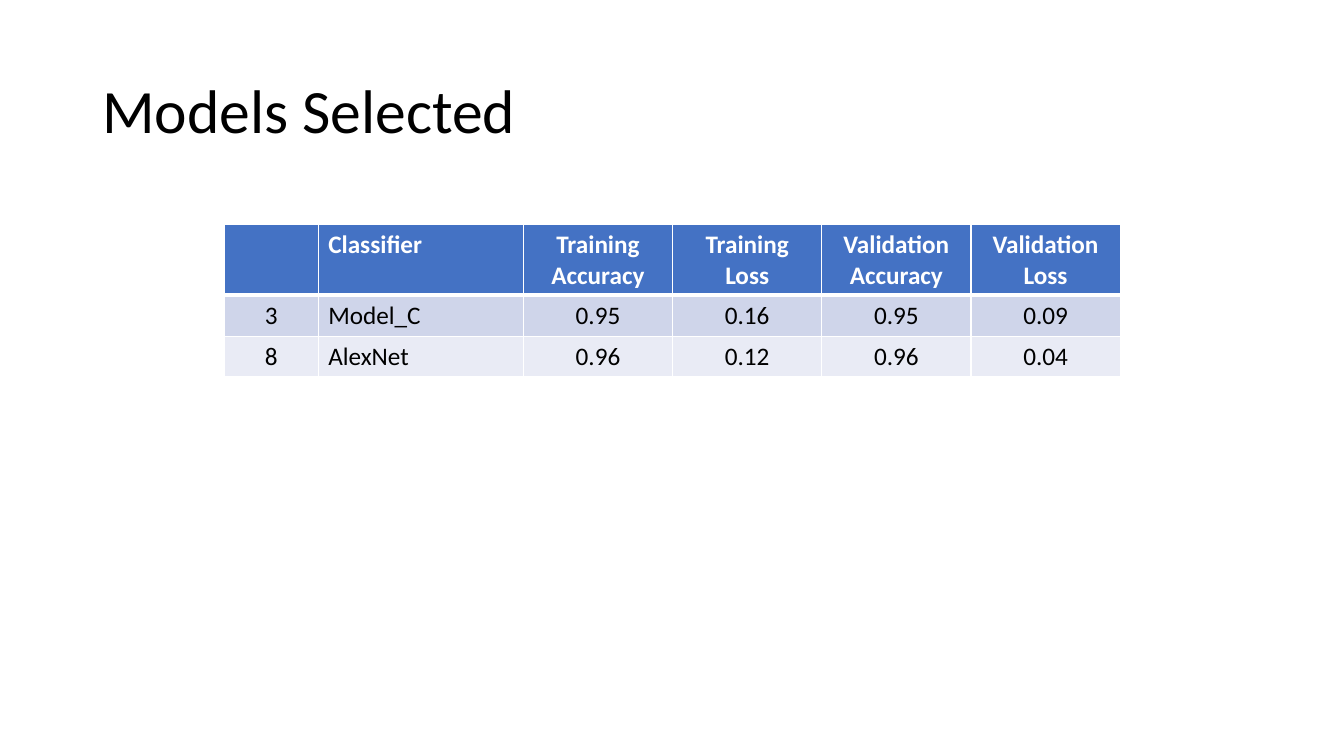
"""Build the slide that compares the two selected models."""
from dataclasses import dataclass

from lxml import etree
from pptx import Presentation
from pptx.dml.color import RGBColor
from pptx.enum.text import MSO_ANCHOR, PP_ALIGN
from pptx.oxml.ns import qn
from pptx.util import Cm, Pt

LEFT, CENTER = PP_ALIGN.LEFT, PP_ALIGN.CENTER
MIDDLE = MSO_ANCHOR.MIDDLE


@dataclass(frozen=True)
class Theme:
    font: str = "Calibri"
    title: int = 44
    body: int = 18
    black: str = "000000"
    white: str = "FFFFFF"
    head: str = "4472C4"
    bands: tuple = ("CFD5EA", "E9EBF5")


theme = Theme()


def style(frame, size, color, align, bold=False):
    for par in frame.paragraphs:
        par.alignment = align
        for run in par.runs:
            run.font.name = theme.font
            run.font.size = Pt(size)
            run.font.bold = bold
            run.font.color.rgb = RGBColor.from_string(color)


def border(cell, side, width):
    props = cell._tc.get_or_add_tcPr()
    line = etree.SubElement(props, qn(f"a:ln{side}"), w=str(Pt(width)))
    fill = etree.SubElement(line, qn("a:solidFill"))
    etree.SubElement(fill, qn("a:srgbClr"), val=theme.white)


deck = Presentation()
deck.slide_width, deck.slide_height = Cm(33.87), Cm(19.05)
slide = deck.slides.add_slide(deck.slide_layouts[6])

title = slide.shapes.add_textbox(Cm(2.33), Cm(1.01), Cm(29.21), Cm(3.68))
frame = title.text_frame
frame.word_wrap = True
frame.vertical_anchor = MIDDLE
frame.text = "Models Selected"
frame.paragraphs[0].line_spacing = 0.9
style(frame, theme.title, theme.black, LEFT)

rows = [
    ("", "Classifier", "Training Accuracy", "Training Loss",
     "Validation Accuracy", "Validation Loss"),
    ("3", "Model_C", "0.95", "0.16", "0.95", "0.09"),
    ("8", "AlexNet", "0.96", "0.12", "0.96", "0.04"),
]
widths = [2.37, 5.17] + [3.76] * 4
heights = [1.78] + [1.03] * 2

table = slide.shapes.add_table(
    len(rows), len(widths), Cm(5.65), Cm(5.66),
    Cm(sum(widths)), Cm(sum(heights))).table
for col, width in zip(table.columns, widths):
    col.width = Cm(width)
for row, height in zip(table.rows, heights):
    row.height = Cm(height)

for i, row in enumerate(rows):
    is_head = i == 0
    back = theme.head if is_head else theme.bands[i - 1]
    color = theme.white if is_head else theme.black
    for j, text in enumerate(row):
        cell = table.cell(i, j)
        cell.text_frame.text = text
        align = LEFT if j == 1 else CENTER
        style(cell.text_frame, theme.body, color, align, is_head)
        top = 3 if i == 1 else 1
        base = 3 if is_head else 1
        for side, width in zip("LRTB", (1, 1, top, base)):
            border(cell, side, width)
        cell.fill.solid()
        cell.fill.fore_color.rgb = RGBColor.from_string(back)

deck.save("out.pptx")
